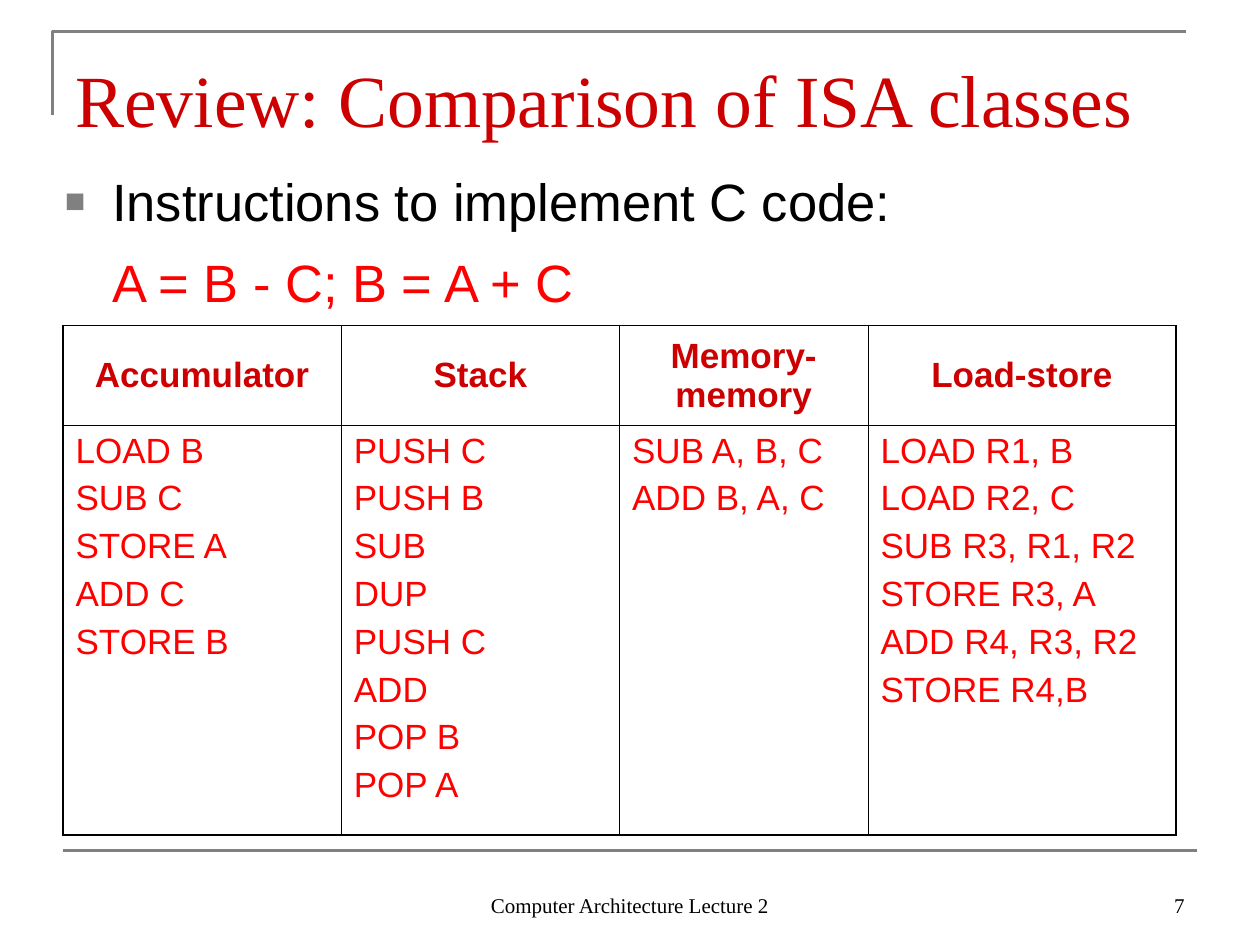
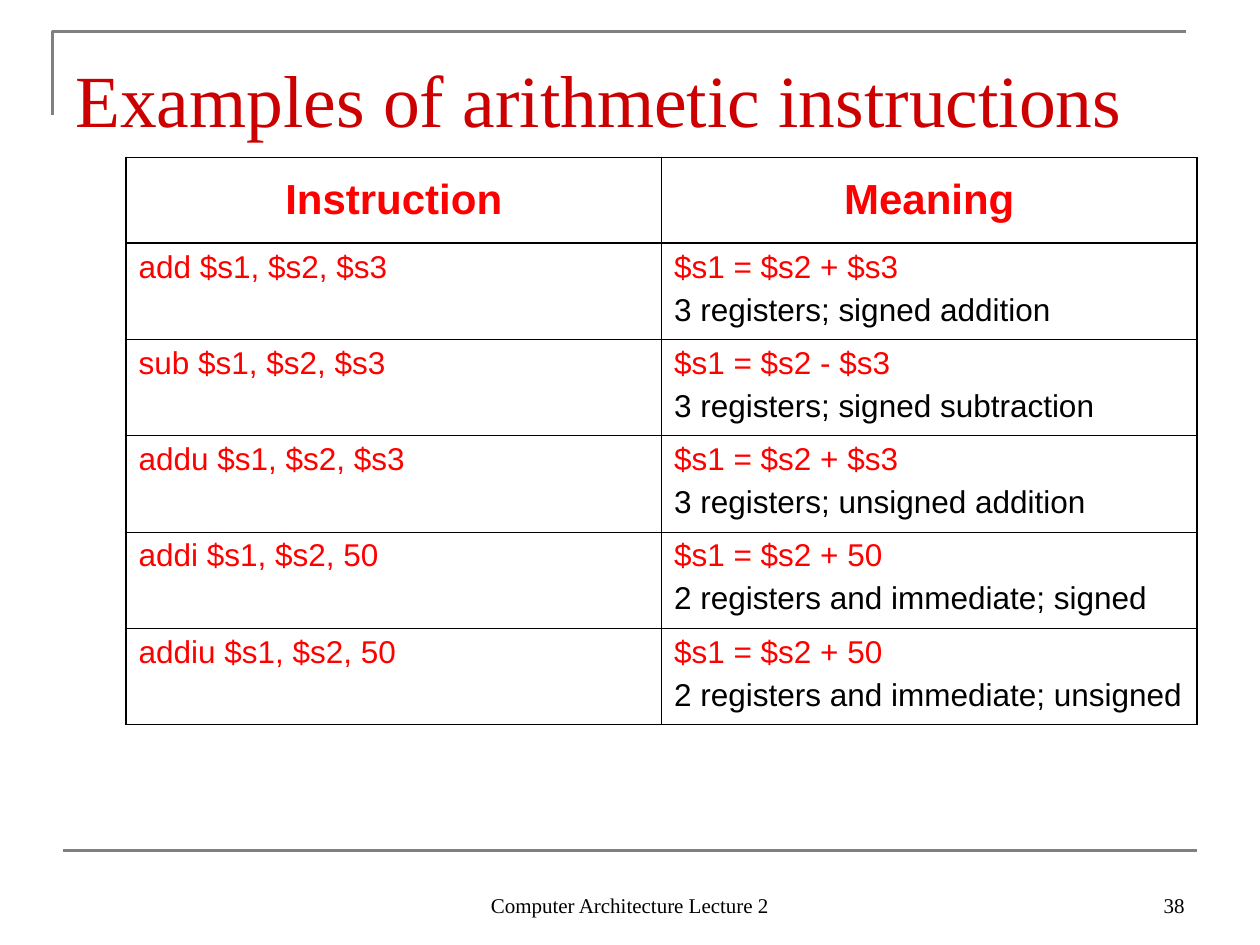
from dataclasses import dataclass, replace

from lxml import etree
from pptx import Presentation
from pptx.dml.color import RGBColor
from pptx.enum.shapes import MSO_CONNECTOR as Connector
from pptx.enum.text import MSO_ANCHOR as Anchor, PP_ALIGN as Align
from pptx.oxml.ns import qn
from pptx.util import Pt

COLORS = {
    "title": "CC0000",
    "code": "FF0000",
    "text": "000000",
    "rule": "808080",
    "border": "000000",
}
SERIF, SANS = "Times New Roman", "Arial"
OUTER, INNER = 1.08, 0.45  # table border widths


@dataclass(frozen=True)
class Style:
    size: float
    color: str = "text"
    font: str = SANS
    bold: bool = False
    align: Align = Align.LEFT
    before: float = 0


@dataclass(frozen=True)
class Line:
    text: str
    style: Style


@dataclass(frozen=True)
class Area:
    left: float
    top: float
    width: float
    height: float

    def lengths(self) -> tuple:
        return tuple(Pt(n) for n in (self.left, self.top, self.width, self.height))


@dataclass(frozen=True)
class Grid:
    left: float
    top: float
    columns: list[float]
    rows: list[float]
    cells: list[list[list[Line]]]
    header_border: float = INNER


TITLE = Style(42, "title", SERIF)
FOOTER = Style(12, font=SERIF, align=Align.CENTER)
BODY = Style(30)
CLASS_HEAD = Style(20, "title", bold=True, align=Align.CENTER)
CLASS_CODE = Style(20, "code", before=5)
EXAMPLE_HEAD = Style(24, "code", bold=True, align=Align.CENTER)
EXAMPLE_CODE = Style(18, "code", before=4.5)
EXAMPLE_NOTE = replace(EXAMPLE_CODE, color="text")


def rgb(name: str) -> RGBColor:
    return RGBColor.from_string(COLORS[name])


def write(frame, lines: list[Line]) -> None:
    """Fill a text frame, one paragraph per line."""
    frame.word_wrap = True
    for index, line in enumerate(lines):
        para = frame.add_paragraph() if index else frame.paragraphs[0]
        para.text = line.text
        style = line.style
        para.alignment = style.align
        para.space_before = Pt(style.before if index else 0)
        para.font.name = style.font
        para.font.size = Pt(style.size)
        para.font.bold = style.bold
        para.font.color.rgb = rgb(style.color)


def add_text(page, area: Area, lines: list[Line], anchor=Anchor.TOP, top_inset=3.6):
    frame = page.shapes.add_textbox(*area.lengths()).text_frame
    write(frame, lines)
    frame.vertical_anchor = anchor
    frame.margin_top = Pt(top_inset)
    return frame


def style_rule(shape) -> None:
    shape.line.color.rgb = rgb("rule")
    shape.line.width = Pt(1.5)


def add_frame(page, title: str, number: int) -> None:
    """Rules, footers and title shared by every slide."""
    # Corner rule
    builder = page.shapes.build_freeform(Pt(30), Pt(66))
    builder.add_line_segments([(Pt(30), Pt(18)), (Pt(678), Pt(18))], close=False)
    corner = builder.convert_to_shape()
    corner.shadow.inherit = False
    corner.fill.background()
    style_rule(corner)

    # Bottom rule
    rule = page.shapes.add_connector(
        Connector.STRAIGHT, Pt(36), Pt(486), Pt(684), Pt(486))
    style_rule(rule)
    etree.SubElement(rule._element.spPr, qn("a:effectLst"))

    # Footers and title
    add_text(page, Area(246, 492, 228, 36),
             [Line("Computer Architecture Lecture 2", FOOTER)], Anchor.BOTTOM)
    add_text(page, Area(516, 492, 168, 36),
             [Line(str(number), replace(FOOTER, align=Align.RIGHT))], Anchor.BOTTOM)
    add_text(page, Area(36, 21.6, 648, 56), [Line(title, TITLE)], top_inset=9)


def set_borders(cell, widths: dict[str, float]) -> None:
    properties = cell._tc.get_or_add_tcPr()
    for side, width in widths.items():
        line = etree.SubElement(properties, qn(f"a:ln{side}"), w=str(Pt(width)))
        fill = etree.SubElement(line, qn("a:solidFill"))
        etree.SubElement(fill, qn("a:srgbClr"), val=COLORS["border"])


def add_grid(page, grid: Grid) -> None:
    """Draw a table with a heavier outer border."""
    last_row, last_column = len(grid.rows) - 1, len(grid.columns) - 1
    area = Area(grid.left, grid.top, sum(grid.columns), sum(grid.rows))
    table = page.shapes.add_table(
        last_row + 1, last_column + 1, *area.lengths()).table
    table.first_row = table.horz_banding = False
    for column, width in zip(table.columns, grid.columns):
        column.width = Pt(width)
    for row, height in zip(table.rows, grid.rows):
        row.height = Pt(height)

    row_edges = [OUTER, grid.header_border] + [INNER] * (last_row - 1) + [OUTER]
    column_edges = [OUTER] + [INNER] * last_column + [OUTER]
    for r, row_cells in enumerate(grid.cells):
        for c, lines in enumerate(row_cells):
            cell = table.cell(r, c)
            write(cell.text_frame, lines)
            cell.vertical_anchor = Anchor.TOP if r else Anchor.MIDDLE
            set_borders(cell, {"L": column_edges[c], "R": column_edges[c + 1],
                               "T": row_edges[r], "B": row_edges[r + 1]})
            cell.fill.background()


def set_bullet(para) -> None:
    """Give a paragraph a small grey square with a hanging indent."""
    properties = para._p.get_or_add_pPr()
    properties.set("indent", str(-Pt(27)))
    color = etree.Element(qn("a:buClr"))
    etree.SubElement(color, qn("a:srgbClr"), val=COLORS["rule"])
    size = etree.Element(qn("a:buSzPct"), val="65000")
    font = etree.Element(qn("a:buFont"), typeface=SANS)
    char = etree.Element(qn("a:buChar"), char="■")
    position = len(properties.findall(qn("a:spcBef")))
    properties[position:position] = [color, size, font, char]


def add_isa_classes(deck) -> None:
    page = deck.slides.add_slide(deck.slide_layouts[6])
    add_frame(page, "Review: Comparison of ISA classes", 7)

    # Task
    body = add_text(page, Area(30, 90, 654, 392), [
        Line("Instructions to implement C code:", BODY),
        Line("A = B - C; B = A + C", replace(BODY, color="code", before=10)),
    ], top_inset=6.6)
    for para in body.paragraphs:
        para._p.get_or_add_pPr().set("marL", str(Pt(27)))
    set_bullet(body.paragraphs[0])

    # Code for each class
    programs = {
        "Accumulator": ["LOAD B", "SUB C", "STORE A", "ADD C", "STORE B"],
        "Stack": ["PUSH C", "PUSH B", "SUB", "DUP", "PUSH C", "ADD", "POP B", "POP A"],
        "Memory-memory": ["SUB A, B, C", "ADD B, A, C"],
        "Load-store": ["LOAD R1, B", "LOAD R2, C", "SUB R3, R1, R2",
                       "STORE R3, A", "ADD R4, R3, R2", "STORE R4,B"],
    }
    heads = [[Line(name, CLASS_HEAD)] for name in programs]
    listings = [[Line(step, CLASS_CODE) for step in steps]
                for steps in programs.values()]
    add_grid(page, Grid(36, 186, [159, 159, 142, 176], [57, 232.5],
                        [heads, listings]))


def add_arithmetic_examples(deck) -> None:
    page = deck.slides.add_slide(deck.slide_layouts[6])
    add_frame(page, "Examples of arithmetic instructions", 38)

    examples = [
        ("add $s1, $s2, $s3", "$s1 = $s2 + $s3", "3 registers; signed addition"),
        ("sub $s1, $s2, $s3", "$s1 = $s2 - $s3", "3 registers; signed subtraction"),
        ("addu $s1, $s2, $s3", "$s1 = $s2 + $s3", "3 registers; unsigned addition"),
        ("addi $s1, $s2, 50", "$s1 = $s2 + 50", "2 registers and immediate; signed"),
        ("addiu $s1, $s2, 50", "$s1 = $s2 + 50", "2 registers and immediate; unsigned"),
    ]
    cells = [[[Line(head, EXAMPLE_HEAD)] for head in ("Instruction", "Meaning")]]
    for instruction, effect, note in examples:
        cells.append([[Line(instruction, EXAMPLE_CODE)],
                      [Line(effect, EXAMPLE_CODE), Line(note, EXAMPLE_NOTE)]])
    add_grid(page, Grid(72, 90, [306, 306], [49] + [55] * len(examples),
                        cells, header_border=OUTER))


def main() -> None:
    deck = Presentation()
    deck.slide_width, deck.slide_height = Pt(720), Pt(540)
    add_isa_classes(deck)
    add_arithmetic_examples(deck)
    deck.save("out.pptx")


if __name__ == "__main__":
    main()
